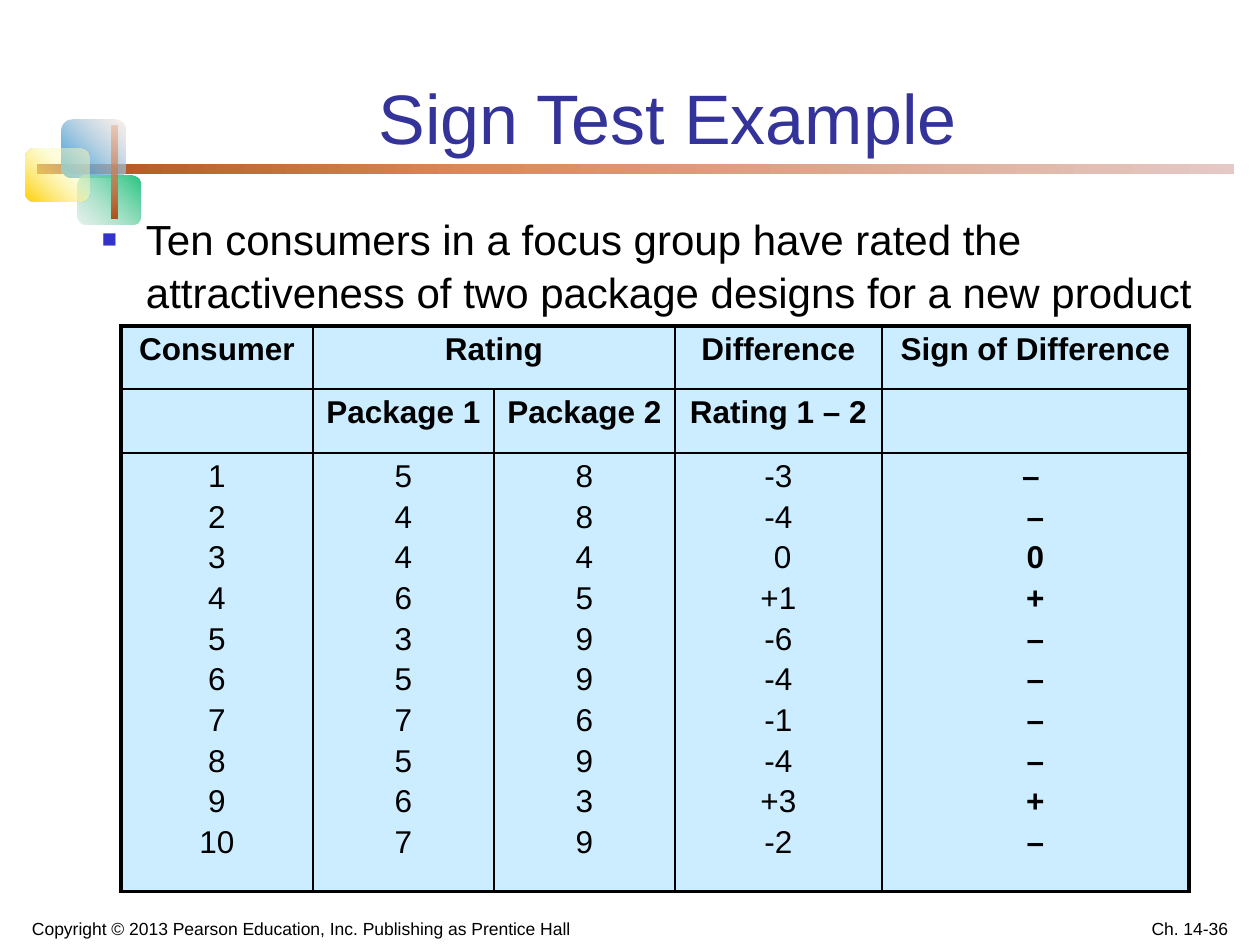
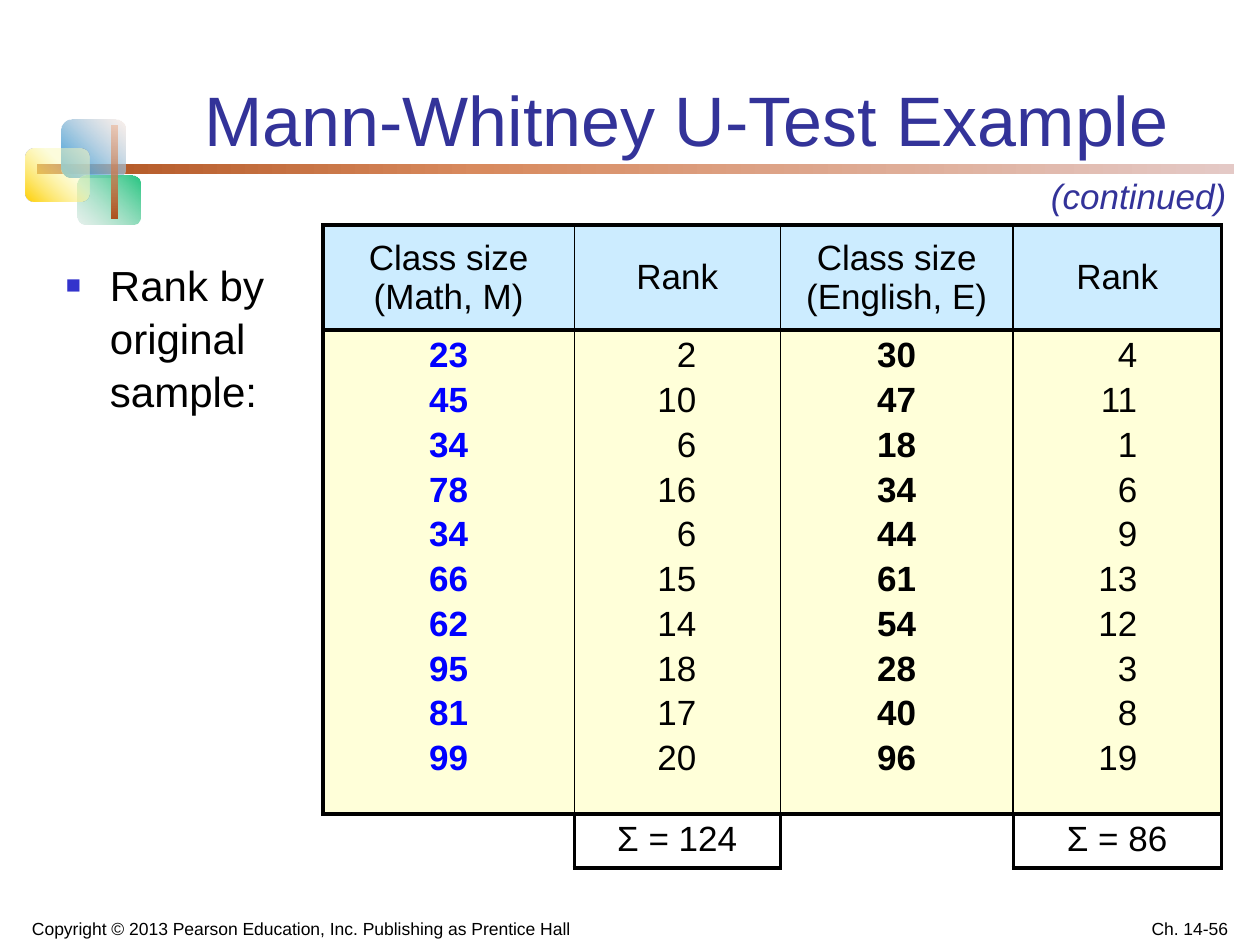
from lxml import etree
from pptx import Presentation
from pptx.dml.color import RGBColor
from pptx.enum.shapes import MSO_SHAPE as SHAPE
from pptx.enum.text import MSO_ANCHOR as ANCHOR, PP_ALIGN as ALIGN
from pptx.oxml import parse_xml
from pptx.oxml.ns import nsdecls, qn
from pptx.util import Emu, Pt

SCALE = 914400 / 126
FONT = "Arial"
BLACK, NAVY, BULLET_BLUE, NUMBER_BLUE = "000000", "333399", "3333CC", "0000FF"
SKY, CREAM = "CCECFF", "FFFFD9"
THICK, THIN, NONE = 2.25, 1, 0
COPYRIGHT = "Copyright © 2013 Pearson Education, Inc. Publishing as Prentice Hall"
EMBLEM_BOX = (26, 119, 1208, 108)
FOOTER_BOX = (21, 901, 1218, 44)
EMBLEM_PARTS = [
    ((11, 45, 1197, 10), 0, 0, [(0, "AE511E", 100), (37, "D88A5E", 100), (100, "E4C9C6", 100)]),
    ((36, 1, 63, 58), 0.17, 315, [(0, "2895D8", 100), (100, "F7E2D9", 50)]),
    ((52, 57, 63, 49), 0.17, 135, [(0, "25C580", 100), (100, "CCE2D9", 50)]),
    ((0, 30, 63, 53), 0.17, 315, [(0, "FFCF01", 100), (63, "FCFCBC", 50)]),
    ((85, 7, 6, 92), 0, 270, [(0, "AE511E", 100), (100, "EAA782", 50)]),
]


def px(value):
    return Emu(round(value * SCALE))


def place(box):
    return [px(value) for value in box]


def color(value):
    return RGBColor.from_string(value)


def style(paragraph, size, ink=BLACK, bold=False, italic=False, align=ALIGN.LEFT):
    paragraph.alignment = align
    font = paragraph.font
    font.name, font.size, font.bold, font.italic = FONT, Pt(size), bold, italic
    font.color.rgb = color(ink)


def add_text(slide, box, text, size, anchor=ANCHOR.TOP, wrap=True, **look):
    frame = slide.shapes.add_textbox(*place(box)).text_frame
    frame.word_wrap = wrap
    frame.vertical_anchor = anchor
    frame.margin_left = frame.margin_right = px(11)
    frame.margin_top = frame.margin_bottom = px(6)
    paragraph = frame.paragraphs[0]
    paragraph.text = text
    style(paragraph, size, **look)
    return paragraph


def fill_gradient(shape, angle, stops):
    marks = "".join(
        f'<a:gs pos="{position * 1000}"><a:srgbClr val="{ink}">'
        f'<a:alpha val="{alpha * 1000}"/></a:srgbClr></a:gs>'
        for position, ink, alpha in stops
    )
    gradient = parse_xml(
        f'<a:gradFill {nsdecls("a")} rotWithShape="1"><a:gsLst>{marks}</a:gsLst>'
        f'<a:lin ang="{angle * 60000}" scaled="0"/></a:gradFill>'
    )
    shape._element.spPr.find(qn("a:prstGeom")).addnext(gradient)


def add_emblem(slide, box):
    left, top = box[:2]
    for (x, y, width, height), corner, angle, stops in EMBLEM_PARTS:
        shape = slide.shapes.add_shape(
            SHAPE.ROUNDED_RECTANGLE, *place((left + x, top + y, width, height))
        )
        shape.adjustments[0] = corner
        shape.shadow.inherit = False
        shape.line.fill.background()
        fill_gradient(shape, angle, stops)


def add_footer(slide, box, page):
    left, top, width, height = box
    page_width = 294
    add_text(slide, (left, top, 672, height), COPYRIGHT, 10, ANCHOR.BOTTOM)
    add_text(slide, (left + width - page_width, top, page_width, height), page, 10,
             ANCHOR.BOTTOM, align=ALIGN.RIGHT)


def add_bullet(slide, box, text):
    paragraph = add_text(slide, box, text, 24)
    properties = paragraph._p.get_or_add_pPr()
    indent = px(44)
    properties.set("marL", str(indent))
    properties.set("indent", str(-indent))
    paragraph.line_spacing = 1.05
    tint = etree.SubElement(properties, qn("a:buClr"))
    etree.SubElement(tint, qn("a:srgbClr"), val=BULLET_BLUE)
    etree.SubElement(properties, qn("a:buSzPct"), val="60000")
    etree.SubElement(properties, qn("a:buFont"), typeface=FONT)
    etree.SubElement(properties, qn("a:buChar"), char="■")
    for bullet_part in properties.findall(qn("a:defRPr")):
        properties.append(bullet_part)


def start_slide(presentation, title_box, title, page):
    slide = presentation.slides.add_slide(presentation.slide_layouts[6])
    add_emblem(slide, EMBLEM_BOX)
    heading = add_text(slide, title_box, title, 40, ANCHOR.BOTTOM, ink=NAVY, align=ALIGN.CENTER)
    add_footer(slide, FOOTER_BOX, page)
    return slide, heading


def write_cell(cell, lines, size, gap=0, right_margin=11, anchor=ANCHOR.TOP, **look):
    cell.margin_left, cell.margin_right = px(11), px(right_margin)
    cell.margin_top = cell.margin_bottom = px(6)
    cell.vertical_anchor = anchor
    look.setdefault("align", ALIGN.CENTER)
    cell.text = "\n".join(lines)
    for index, paragraph in enumerate(cell.text_frame.paragraphs):
        style(paragraph, size, **look)
        if index:
            paragraph.space_before = Pt(gap)


def set_borders(cell, widths):
    properties = cell._tc.get_or_add_tcPr()
    for index, (side, width) in enumerate(zip("LRTB", widths)):
        line = etree.Element(qn(f"a:ln{side}"), w=str(Pt(width)))
        if width:
            paint = etree.SubElement(line, qn("a:solidFill"))
            etree.SubElement(paint, qn("a:srgbClr"), val=BLACK)
        else:
            etree.SubElement(line, qn("a:noFill"))
        properties.insert(index, line)


def add_grid(slide, left, top, widths, heights, spans, fills, verticals, horizontals):
    box = (left, top, sum(widths), sum(heights))
    table = slide.shapes.add_table(len(heights), len(widths), *place(box)).table
    table.first_row = table.horz_banding = False
    for column, width in zip(table.columns, widths):
        column.width = px(width)
    for row, height in zip(table.rows, heights):
        row.height = px(height)
    for row, first, last in spans:
        table.cell(row, first).merge(table.cell(row, last))
    for row, fill in enumerate(fills):
        for column in range(len(widths)):
            cell = table.cell(row, column)
            if fill:
                cell.fill.solid()
                cell.fill.fore_color.rgb = color(fill)
            else:
                cell.fill.background()
            set_borders(cell, (
                verticals[row][column], verticals[row][column + cell.span_width],
                horizontals[row][column], horizontals[row + 1][column],
            ))
    return table


def add_rating_table(slide, left, top):
    table = add_grid(
        slide, left, top, (192, 181, 181, 207, 307), (63, 64, 422),
        spans=[(0, 1, 2)], fills=[SKY] * 3,
        verticals=[[THICK, THIN, inner, THIN, THIN, THICK] for inner in (NONE, THIN, THIN)],
        horizontals=[[width] * 5 for width in (THICK, THIN, THIN, THICK)],
    )
    headers = [
        ["Consumer", "Rating", "", "Difference", "Sign of Difference"],
        ["", "Package 1", "Package 2", "Rating 1 – 2", ""],
    ]
    for row, names in enumerate(headers):
        for column, name in enumerate(names):
            if name:
                write_cell(table.cell(row, column), [name], 18, bold=True)
    columns = [
        [str(consumer) for consumer in range(1, 11)],
        "5 4 4 6 3 5 7 5 6 7".split(),
        "8 8 4 5 9 9 6 9 3 9".split(),
        ["-3", "-4", " 0", "+1", "-6", "-4", "-1", "-4", "+3", "-2"],
        ["– ", "–", "0", "+", "–", "–", "–", "–", "+", "–"],
    ]
    for column, lines in enumerate(columns):
        write_cell(table.cell(2, column), lines, 18, gap=3.1, bold=column == 4)


def add_rank_table(slide, left, top):
    inner = [THICK, NONE, NONE, THIN, THIN, THIN, THICK]
    table = add_grid(
        slide, left, top, (29, 191, 29, 206, 233, 208), (105, 466, 52),
        spans=[(0, 0, 2), (1, 0, 2)], fills=[SKY, CREAM, None],
        verticals=[inner, inner, [NONE] * 3 + [THICK] * 4],
        horizontals=[[THICK] * 6] * 3 + [[NONE, NONE, NONE, THICK, NONE, THICK]],
    )
    classes = dict(bold=True)
    ranks = dict(align=ALIGN.RIGHT, right_margin=84)
    columns = [
        (0, "Class size (Math, M)", "23 45 34 78 34 66 62 95 81 99", dict(classes, ink=NUMBER_BLUE)),
        (3, "Rank", "2 10 6 16 6 15 14 18 17 20", ranks),
        (4, "Class size (English, E)", "30 47 18 34 44 61 54 28 40 96", classes),
        (5, "Rank", "4 11 1 6 9 13 12 3 8 19", ranks),
    ]
    for column, name, values, look in columns:
        write_cell(table.cell(0, column), [name], 20, anchor=ANCHOR.MIDDLE)
        write_cell(table.cell(1, column), values.split(), 20, gap=3.3, **look)
    for column, total in ((3, 124), (5, 86)):
        write_cell(table.cell(2, column), [f"Σ = {total}"], 20)


def build_sign_test(presentation):
    slide, _ = start_slide(presentation, (159, 29, 1017, 136), "Sign Test Example", "Ch. 14-36")
    add_bullet(slide, (91, 205, 1149, 220),
               "Ten consumers in a focus group have rated the attractiveness "
               "of two package designs for a new product")
    add_rating_table(slide, 121, 326)


def build_mann_whitney(presentation):
    slide, heading = start_slide(presentation, (176, 43, 1021, 123),
                                 "Mann-Whitney U-Test Example", "Ch. 14-56")
    heading.line_spacing = 0.8
    add_bullet(slide, (55, 251, 242, 212), "Rank by original sample:")
    add_rank_table(slide, 323, 225)
    add_text(slide, (1040, 168, 203, 54), "(continued)", 20, wrap=False, ink=NAVY, italic=True)


def main():
    presentation = Presentation()
    presentation.slide_width, presentation.slide_height = px(1260), px(945)
    build_sign_test(presentation)
    build_mann_whitney(presentation)
    presentation.save("out.pptx")


if __name__ == "__main__":
    main()
